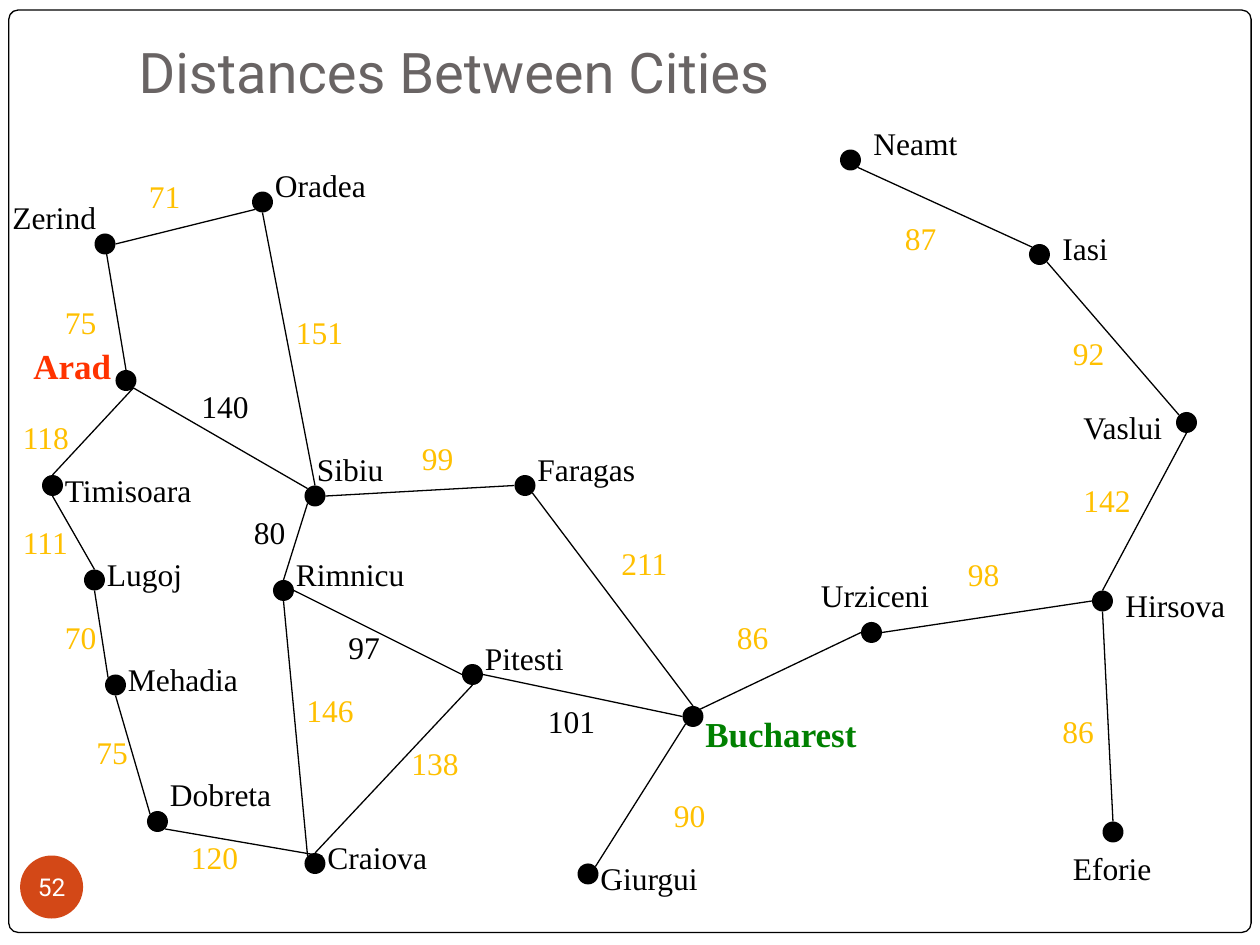
from dataclasses import dataclass
from math import sqrt

from lxml import etree
from pptx import Presentation
from pptx import util as u
from pptx.dml.color import RGBColor
from pptx.enum import shapes, text
from pptx.oxml.ns import qn


@dataclass(frozen=True)
class Theme:
    ink: str = "000000"
    paper: str = "FFFFFF"
    title: str = "696464"
    badge: str = "D34817"
    distance: str = "FFC000"
    start: str = "FF3300"
    goal: str = "008000"
    heading_font: str = "Roboto"
    map_font: str = "Times New Roman"
    title_size: int = 32
    city_size: int = 18
    end_size: int = 20
    badge_size: int = 14
    line_width: float = 0.75


THEME = Theme()
TITLE = "Distances Between Cities"
PAGE = "52"

# The map lies on a grid of twelve cells to the inch, a little below the slide's top.
CELL = 1 / 12
MAP_TOP = 0.02
DOT_RADIUS = 1

# city: (dot column, dot row, label column, label row, label columns)
CITIES = {
    "Arad": (12, 36, 2, 32, 10),
    "Bucharest": (66, 68, 66, 67, 17),
    "Oradea": (25, 19, 25, 15, 15),
    "Zerind": (10, 23, 0, 18, 12),
    "Faragas": (50, 46, 50, 42, 13),
    "Neamt": (81, 15, 82, 11, 15),
    "Iasi": (99, 24, 100, 21, 15),
    "Vaslui": (113, 40, 102, 38, 11),
    "Hirsova": (105, 57, 106, 55, 12),
    "Eforie": (106, 79, 101, 80, 12),
    "Urziceni": (83, 60, 77, 54, 14),
    "Giurgui": (56, 83, 56, 81, 13),
    "Dobreta": (15, 78, 15, 73, 13),
    "Craiova": (30, 82, 30, 79, 14),
    "Rimnicu": (27, 56, 27, 52, 22),
    "Mehadia": (11, 65, 11, 62, 13),
    "Timisoara": (5, 46, 5, 44, 15),
    "Lugoj": (9, 55, 9, 52, 12),
    "Sibiu": (30, 47, 29, 42, 11),
    "Pitesti": (45, 64, 45, 60, 11),
}
END_COLORS = {"Arad": THEME.start, "Bucharest": THEME.goal}

# (city, side of its dot, city, side of its dot, distance, label column, label row)
ROADS = [
    ("Neamt", "SE", "Iasi", "NW", 87, 85, 20),
    ("Iasi", "SE", "Vaslui", "NW", 92, 101, 31),
    ("Vaslui", "S", "Hirsova", "N", 142, 102, 45),
    ("Hirsova", "S", "Eforie", "N", 86, 100, 67),
    ("Urziceni", "E", "Hirsova", "W", 98, 91, 52),
    ("Bucharest", "NE", "Urziceni", "W", 86, 69, 58),
    ("Giurgui", "NE", "Bucharest", "SW", 90, 63, 75),
    ("Faragas", "SE", "Bucharest", "N", 211, 58, 51),
    ("Sibiu", "E", "Faragas", "W", 99, 39, 41),
    ("Sibiu", "N", "Oradea", "S", 151, 27, 29),
    ("Zerind", "E", "Oradea", "SW", 71, 13, 16),
    ("Zerind", "", "Arad", "N", 75, 5, 28),
    ("Arad", "SE", "Timisoara", "N", 118, 1, 39),
    ("Timisoara", "S", "Lugoj", "N", 111, 1, 49),
    ("Lugoj", "S", "Mehadia", "NW", 70, 5, 58),
    ("Mehadia", "S", "Dobreta", "NW", 75, 8, 69),
    ("Dobreta", "SE", "Craiova", "NE", 120, 17, 79),
    ("Craiova", "N", "Pitesti", "S", 138, 38, 70),
    ("Craiova", "NW", "Rimnicu", "S", 146, 28, 65),
    ("Arad", "SE", "Sibiu", "NW", 140, 18, 36),
    ("Sibiu", "SW", "Rimnicu", "N", 80, 23, 48),
    ("Rimnicu", "E", "Pitesti", "W", 97, 32, 59),
    ("Pitesti", "E", "Bucharest", "W", 101, 51, 66),
]
ROUTE = ["Arad", "Sibiu", "Rimnicu", "Pitesti", "Bucharest"]


def color(value):
    return RGBColor.from_string(value)


def at(column, row):
    return u.Inches(column * CELL), u.Inches(row * CELL + MAP_TOP)


def rim(city, side):
    """Point on a city's dot at a compass side; its centre when no side is given."""
    column, row = CITIES[city][:2]
    east = ("E" in side) - ("W" in side)
    south = ("S" in side) - ("N" in side)
    reach = DOT_RADIUS / sqrt(len(side) or 1)
    return at(column + east * reach, row + south * reach)


def write(frame, words, font, size, ink, bold=False, align=text.PP_ALIGN.LEFT):
    frame.text = words
    paragraph = frame.paragraphs[0]
    paragraph.alignment = align
    formats = {"name": font, "size": u.Pt(size), "bold": bold}
    for key, value in formats.items():
        setattr(paragraph.runs[0].font, key, value)
    paragraph.runs[0].font.color.rgb = color(ink)


def set_frame(frame, **formats):
    for key, value in formats.items():
        setattr(frame, key, value)


def add_filled(slide, kind, box, fill, line=None):
    shape = slide.shapes.add_shape(kind, *box)
    shape.shadow.inherit = False
    shape.fill.solid()
    shape.fill.fore_color.rgb = color(fill)
    if line:
        shape.line.color.rgb = color(line)
        shape.line.width = u.Pt(THEME.line_width)
    else:
        shape.line.fill.background()
    return shape


def add_label(slide, words, column, row, columns, ink, size=THEME.city_size, bold=False):
    height = u.Inches(0.4 * size / THEME.city_size)
    box = slide.shapes.add_textbox(*at(column, row), u.Inches(columns * CELL), height)
    box.text_frame.word_wrap = True
    write(box.text_frame, words, THEME.map_font, size, ink, bold)


def add_road(slide, start, end):
    road = slide.shapes.add_connector(shapes.MSO_CONNECTOR.STRAIGHT, *start, *end)
    road.line.color.rgb = color(THEME.ink)
    road.line.width = u.Pt(THEME.line_width)
    etree.SubElement(road._element.spPr, qn("a:effectLst"))


def add_page_parts(slide):
    """Frame, title and page number."""
    box = [u.Inches(n) for n in (0.07, 0.08, 9.86, 7.32)]
    frame = add_filled(slide, shapes.MSO_SHAPE.ROUNDED_RECTANGLE, box, THEME.paper, THEME.ink)
    frame.adjustments[0] = 0.01
    slide.shapes._spTree.insert(2, frame._element)

    title = slide.shapes.title
    title.left, title.top, title.width, title.height = (
        u.Inches(n) for n in (1, 0.3, 8.5, 1.25))
    set_frame(title.text_frame, vertical_anchor=text.MSO_ANCHOR.TOP, margin_top=0,
              auto_size=text.MSO_AUTO_SIZE.NONE)
    write(title.text_frame, TITLE, THEME.heading_font, THEME.title_size, THEME.title)

    box = [u.Inches(n) for n in (0.16, 6.79, 0.5, 0.5)]
    badge = add_filled(slide, shapes.MSO_SHAPE.OVAL, box, THEME.badge)
    set_frame(badge.text_frame, vertical_anchor=text.MSO_ANCHOR.MIDDLE, margin_left=0,
              margin_right=0, margin_top=0, margin_bottom=0)
    write(badge.text_frame, PAGE, THEME.heading_font, THEME.badge_size, THEME.paper,
          align=text.PP_ALIGN.CENTER)


def add_map(slide):
    legs = list(zip(ROUTE, ROUTE[1:]))
    for start, start_side, end, end_side, distance, column, row in ROADS:
        add_road(slide, rim(start, start_side), rim(end, end_side))
        ink = THEME.ink if (start, end) in legs else THEME.distance
        columns = 2 + 2 * len(str(distance))
        add_label(slide, str(distance), column, row, columns, ink)

    diameter = u.Inches(2 * DOT_RADIUS * CELL)
    for city, (dot_column, dot_row, *label) in CITIES.items():
        corner = at(dot_column - DOT_RADIUS, dot_row - DOT_RADIUS)
        add_filled(slide, shapes.MSO_SHAPE.OVAL, (*corner, diameter, diameter), THEME.ink)
        is_end = city in END_COLORS
        add_label(slide, city, *label, END_COLORS.get(city, THEME.ink),
                  THEME.end_size if is_end else THEME.city_size, is_end)


def main():
    deck = Presentation()
    deck.slide_width, deck.slide_height = u.Inches(10), u.Inches(7.5)
    slide = deck.slides.add_slide(deck.slide_layouts[5])
    add_page_parts(slide)
    add_map(slide)
    deck.save("out.pptx")


if __name__ == "__main__":
    main()
